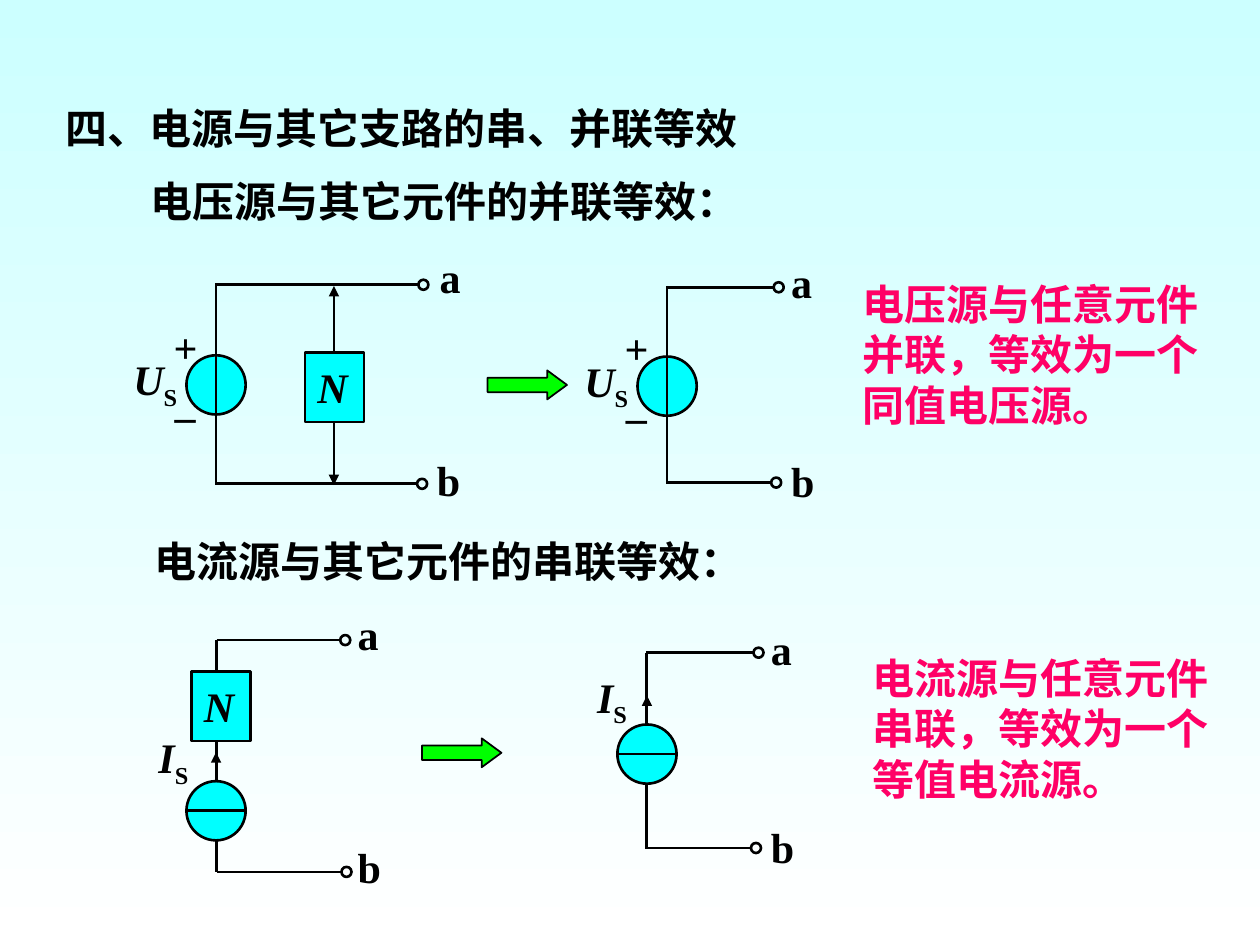
from lxml import etree
from pptx import Presentation
from pptx import util as u
from pptx.dml.color import RGBColor
from pptx.enum import shapes as kinds, text
from pptx.oxml.ns import qn

BLACK, CYAN, GREEN, PINK = "000000", "00FFFF", "00FF00", "FF0066"
FONT = "Times New Roman"
DISC = 0.47
DOT = 0.08


def colour(value):
    return RGBColor.from_string(value)


def paint_background(slide, top, bottom):
    fill = slide.background.fill
    fill.gradient()
    fill.gradient_angle = 270
    for stop, value in zip(fill.gradient_stops, (top, bottom)):
        stop.color.rgb = colour(value)


def format_font(font, value=BLACK, italic=False):
    font.name = FONT
    font.size = u.Pt(24)
    font.bold = True
    font.italic = italic
    font.color.rgb = colour(value)


def add_title(slide, words, left, top, width, height):
    title = slide.shapes.title
    title.left, title.top = u.Inches(left), u.Inches(top)
    title.width, title.height = u.Inches(width), u.Inches(height)
    frame = title.text_frame
    frame.text = words
    frame.auto_size = text.MSO_AUTO_SIZE.NONE
    frame.vertical_anchor = text.MSO_ANCHOR.MIDDLE
    frame.paragraphs[0].alignment = text.PP_ALIGN.LEFT
    format_font(frame.paragraphs[0].font)


def add_text(shapes, words, left, top, width, height, value=BLACK, italic=False,
             align=text.PP_ALIGN.LEFT, anchor=text.MSO_ANCHOR.TOP):
    box = shapes.add_textbox(u.Inches(left), u.Inches(top), u.Inches(width), u.Inches(height))
    frame = box.text_frame
    frame.word_wrap = True
    frame.vertical_anchor = anchor
    paragraph = frame.paragraphs[0]
    paragraph.text = words
    paragraph.alignment = align
    format_font(paragraph.font, value, italic)
    return paragraph


def add_symbol(shapes, letter, left, top, width):
    """Write a quantity in italics with an upright subscript S."""
    paragraph = add_text(shapes, letter, left, top, width, 0.56, italic=True)
    subscript = paragraph.add_run()
    subscript.text = "S"
    subscript.font.italic = False
    subscript.font._element.set("baseline", "-25000")


def add_outline(shapes, kind, left, top, width, height, fill=None, weight=1.5):
    shape = shapes.add_shape(kind, u.Inches(left), u.Inches(top), u.Inches(width), u.Inches(height))
    shape.shadow.inherit = False
    if fill:
        shape.fill.solid()
        shape.fill.fore_color.rgb = colour(fill)
    else:
        shape.fill.background()
    shape.line.color.rgb = colour(BLACK)
    shape.line.width = u.Pt(weight)
    return shape


def add_wire(shapes, x1, y1, x2, y2, arrows=()):
    """Draw a line; arrows names the ends ("headEnd", "tailEnd") with arrowheads."""
    wire = shapes.add_connector(kinds.MSO_CONNECTOR.STRAIGHT, u.Inches(x1), u.Inches(y1),
                                u.Inches(x2), u.Inches(y2))
    wire.line.color.rgb = colour(BLACK)
    wire.line.width = u.Pt(1.5)
    for end in arrows:
        etree.SubElement(wire.line._get_or_add_ln(), qn("a:" + end), type="triangle")
    etree.SubElement(wire._element.spPr, qn("a:effectLst"))


def add_terminal(shapes, name, start, end, y, label_left, label_top):
    add_wire(shapes, start, y, end, y)
    add_outline(shapes, kinds.MSO_SHAPE.OVAL, end, y - DOT / 2, DOT, DOT)
    add_text(shapes, name, label_left, label_top, 0.34, 0.5, align=text.PP_ALIGN.CENTER)


def add_disc(shapes, left, top):
    add_outline(shapes, kinds.MSO_SHAPE.OVAL, left, top, DISC, DISC, CYAN)


def add_voltage_source(shapes, left, top, wire_top, wire_bottom):
    add_disc(shapes, left, top)
    centre = left + DISC / 2
    add_wire(shapes, centre, wire_top, centre, wire_bottom)
    for sign, offset in (("+", -0.32), ("_", 0.11)):
        add_text(shapes, sign, left - 0.2, top + offset, 0.38, 0.5,
                 align=text.PP_ALIGN.CENTER, anchor=text.MSO_ANCHOR.MIDDLE)
    add_symbol(shapes, "U", left - 0.52, top - 0.06, 0.73)


def add_current_source(shapes, left, top, label_left, label_top):
    centre, middle = left + DISC / 2, top + DISC / 2
    add_wire(shapes, centre, top - 0.23, centre, top, ["headEnd"])
    add_disc(shapes, left, top)
    add_wire(shapes, left + DISC, middle, left, middle)
    add_symbol(shapes, "I", label_left, label_top, 0.6)


def add_element(shapes, left, top):
    add_outline(shapes, kinds.MSO_SHAPE.RECTANGLE, left, top, DISC, 0.55, CYAN)
    add_text(shapes, "N", left, top + 0.02, 0.67, 0.5, italic=True)


def add_block_arrow(shapes, left, top):
    arrow = add_outline(shapes, kinds.MSO_SHAPE.RIGHT_ARROW, left, top, 0.63, 0.23, GREEN, 1)
    arrow.adjustments[0] = 0.5
    arrow.adjustments[1] = 0.68


def draw_parallel_circuits(slide):
    full = slide.shapes.add_group_shape().shapes
    add_wire(full, 2.65, 2.27, 2.65, 3.85, ["headEnd", "tailEnd"])
    add_voltage_source(full, 1.48, 2.82, 2.26, 3.84)
    add_element(full, 2.42, 2.8)
    add_terminal(full, "a", 1.71, 3.32, 2.26, 3.39, 1.95)
    add_terminal(full, "b", 1.71, 3.31, 3.84, 3.37, 3.56)

    reduced = slide.shapes.add_group_shape().shapes
    add_voltage_source(reduced, 5.06, 2.83, 2.27, 3.84)
    add_terminal(reduced, "a", 5.29, 6.14, 2.28, 6.18, 1.99)
    add_terminal(reduced, "b", 5.29, 6.12, 3.83, 6.18, 3.57)


def draw_series_circuits(slide):
    full = slide.shapes.add_group_shape().shapes
    add_wire(full, 1.72, 5.08, 1.72, 6.92)
    add_element(full, 1.52, 5.33)
    add_current_source(full, 1.48, 6.2, 1.16, 5.76)
    add_terminal(full, "a", 1.72, 2.7, 5.08, 2.74, 4.78)
    add_terminal(full, "b", 1.72, 2.71, 6.92, 2.74, 6.63)

    reduced = slide.shapes.add_group_shape().shapes
    add_wire(reduced, 5.13, 5.18, 5.13, 6.74)
    add_current_source(reduced, 4.9, 5.75, 4.64, 5.28)
    add_terminal(reduced, "a", 5.13, 5.98, 5.18, 6.02, 4.9)
    add_terminal(reduced, "b", 5.13, 5.96, 6.73, 6.02, 6.47)


def main():
    presentation = Presentation()
    presentation.slide_width, presentation.slide_height = u.Inches(10), u.Inches(7.5)
    slide = presentation.slides.add_slide(presentation.slide_layouts[5])
    paint_background(slide, "CCFFFF", "FFFFFF")
    add_title(slide, "四、电源与其它支路的串、并联等效", 0.42, 0.72, 9.06, 0.58)

    heading = add_text(slide.shapes, "电压源与其它元件的并联等效：", 1.1, 1.39, 8, 0.37)
    heading.line_spacing = 0.9
    draw_parallel_circuits(slide)
    add_block_arrow(slide.shapes, 3.87, 2.94)
    add_text(slide.shapes, "电压源与任意元件并联，等效为一个同值电压源。", 6.75, 2.16, 2.92, 1.3, PINK)

    add_text(slide.shapes, "电流源与其它元件的串联等效：", 1.13, 4.2, 6.83, 0.42)
    draw_series_circuits(slide)
    add_block_arrow(slide.shapes, 3.35, 5.86)
    add_text(slide.shapes, "电流源与任意元件串联，等效为一个等值电流源。", 6.83, 5.13, 2.92, 1.3, PINK)
    presentation.save("out.pptx")


if __name__ == "__main__":
    main()
